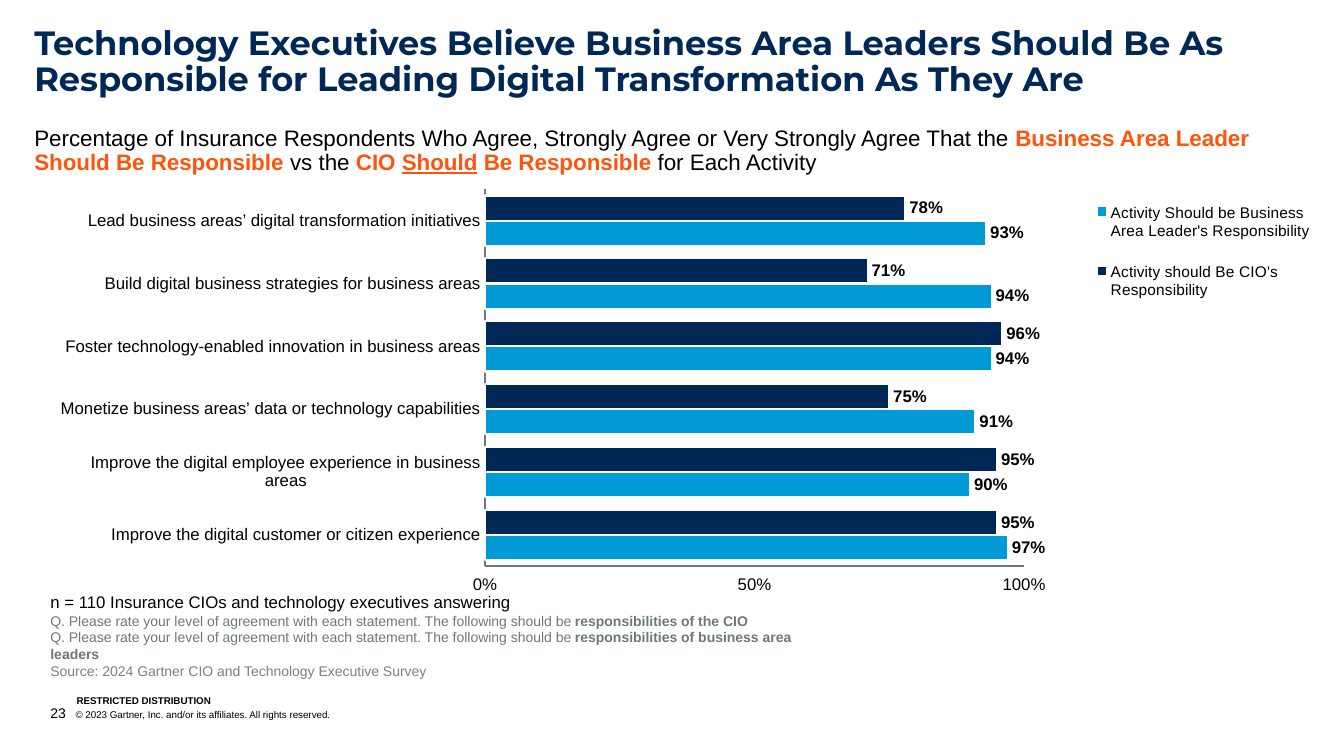
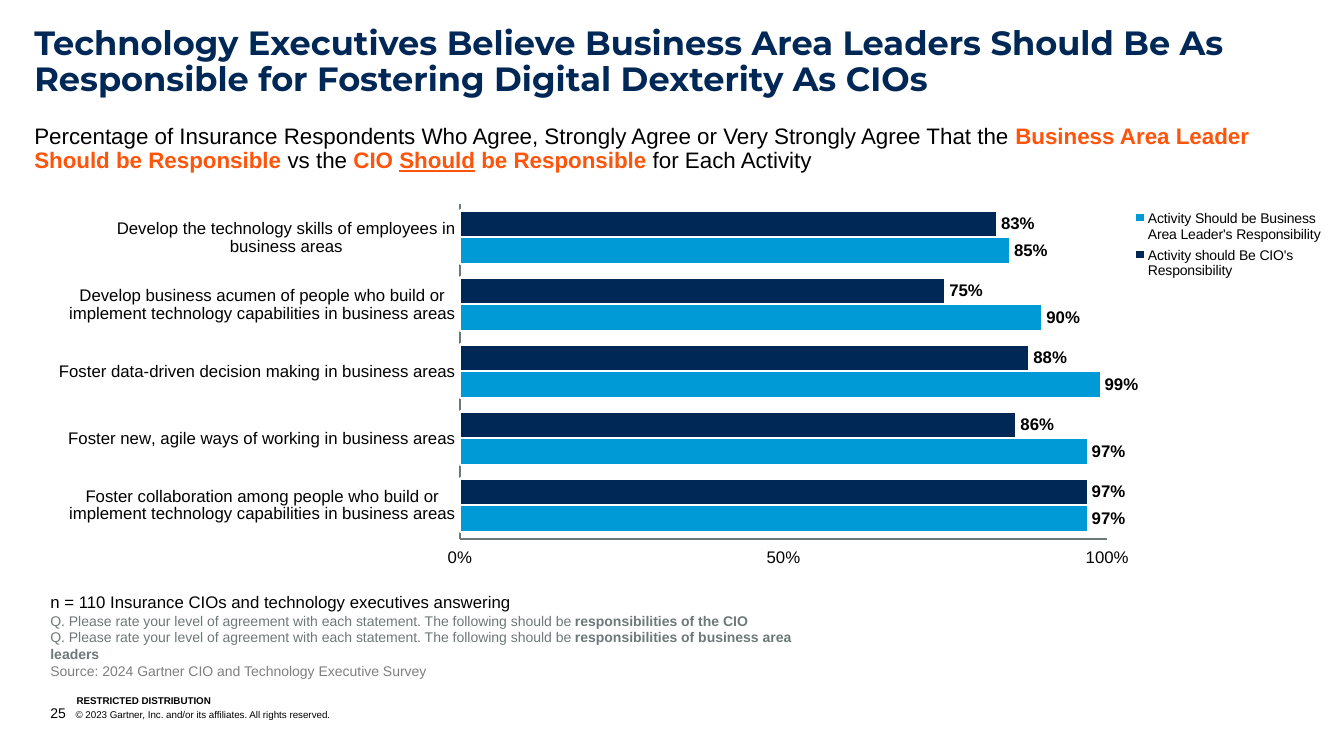
"""Build two survey slides that compare responsibilities in clustered bar charts."""
from dataclasses import dataclass
from typing import Any, NamedTuple

from lxml import etree
from pptx import Presentation
from pptx import util as u
from pptx.chart import data
from pptx.dml.color import RGBColor
from pptx.enum import chart as ec, text as et
from pptx.oxml import ns

PX = 9144
COLORS = {
    "ink": "000000",
    "navy": "002856",
    "blue": "009AD7",
    "orange": "FF540A",
    "slate": "6F7878",
    "gray": "7F7F7F",
    "white": "FFFFFF",
}
SANS = "Arial"
HEAD = "Montserrat"
LINE = 1.57
SERIES = (
    ("Activity should Be CIO's Responsibility", "navy"),
    ("Activity Should be Business Area Leader's Responsibility", "blue"),
)


class Box(NamedTuple):
    x: int
    y: int
    w: int
    h: int


class Part(NamedTuple):
    x: float
    y: float
    w: float
    h: float


class Run(NamedTuple):
    text: str
    size: float
    color: str = "ink"
    bold: bool = False
    line: bool = False


class Row(NamedTuple):
    label: str
    cio: float
    area: float


@dataclass(frozen=True)
class Page:
    number: int
    title: str
    verb: str
    sub: Box
    frame: Box
    plot: Part
    legend: Part
    key: int
    rows: tuple[Row, ...]


Line = tuple[Run, ...]

NOTES: tuple[Line, ...] = (
    (Run("n = 110 Insurance CIOs and technology executives answering", 12),),
    (
        Run("Q. Please rate your level of agreement with each statement. "
            "The following should be ", 10, "slate"),
        Run("responsibilities of the CIO", 10, "slate", True),
    ),
    (
        Run("Q. Please rate your level of agreement with each statement. "
            "The following should be ", 10, "slate"),
        Run("responsibilities of business area leaders", 10, "slate", True),
    ),
    (Run("Source: 2024 Gartner CIO and Technology Executive Survey", 10, "gray"),),
)

PAGES = (
    Page(
        23,
        "Technology Executives Believe Business Area Leaders Should Be As "
        "Responsible for Leading Digital Transformation As They Are",
        "Be",
        Box(34, 126, 1233, 27),
        Box(50, 179, 1264, 439),
        Part(0.341, 0.02, 0.423, 0.852),
        Part(0.815, 0, 0.18, 0.32),
        11,
        (
            Row("Lead business areas’ digital transformation initiatives", 0.78, 0.93),
            Row("Build digital business strategies for business areas", 0.71, 0.94),
            Row("Foster technology-enabled innovation in business areas", 0.96, 0.94),
            Row("Monetize business areas’ data or technology capabilities", 0.75, 0.91),
            Row("Improve the digital employee experience in business areas", 0.95, 0.9),
            Row("Improve the digital customer or citizen experience", 0.95, 0.97),
        ),
    ),
    Page(
        25,
        "Technology Executives Believe Business Area Leaders Should Be As "
        "Responsible for Fostering Digital Dexterity As CIOs",
        "be",
        Box(34, 124, 1233, 27),
        Box(50, 200, 1269, 390),
        Part(0.32, 0.006, 0.506, 0.852),
        Part(0.843, 0.01, 0.155, 0.2),
        10,
        (
            Row("Develop the technology skills of employees in business areas", 0.83, 0.85),
            Row("Develop business acumen of people who build or implement "
                "technology capabilities in business areas", 0.75, 0.9),
            Row("Foster data-driven decision making in business areas", 0.88, 0.99),
            Row("Foster new, agile ways of working in business areas", 0.86, 0.97),
            Row("Foster collaboration among people who build or implement "
                "technology capabilities in business areas", 0.97, 0.97),
        ),
    ),
)


def px(n: int) -> u.Emu:
    """Turn px into EMU."""
    return u.Emu(n * PX)


def rgb(name: str) -> RGBColor:
    """Look up a named color."""
    return RGBColor.from_string(COLORS[name])


def style(font: Any, size: float, color: str = "ink", bold: bool = False,
          face: str = SANS) -> None:
    """Set the face, size, color and weight of a font."""
    font.name, font.size, font.bold = face, u.Pt(size), bold
    font.color.rgb = rgb(color)


def put(slide: Any, box: Box, lines: tuple[Line, ...], *, face: str = SANS,
        low: bool = False, pad: tuple[int, int, int, int] = (0, 0, 0, 0),
        lead: float | None = None, hang: int = 0) -> None:
    """Add a text box of formatted runs."""
    frame = slide.shapes.add_textbox(*map(px, box)).text_frame
    frame.word_wrap = True
    frame.auto_size = (et.MSO_AUTO_SIZE.SHAPE_TO_FIT_TEXT if low
                       else et.MSO_AUTO_SIZE.NONE)
    frame.vertical_anchor = et.MSO_ANCHOR.BOTTOM if low else et.MSO_ANCHOR.TOP
    (frame.margin_left, frame.margin_top,
     frame.margin_right, frame.margin_bottom) = map(px, pad)
    for i, line in enumerate(lines):
        para = frame.add_paragraph() if i else frame.paragraphs[0]
        if lead:
            para.line_spacing = lead
        if hang:
            props = para._p.get_or_add_pPr()
            props.set("marL", str(px(hang)))
            props.set("indent", str(px(-hang)))
        for part in line:
            run = para.add_run()
            run.text = part.text
            style(run.font, part.size, part.color, part.bold, face)
            if part.line:
                run.font.underline = True


def place(parent: Any, part: Part, at: int, inner: bool = False) -> None:
    """Give a chart element a manual layout."""
    for old in parent.findall(ns.qn("c:layout")):
        parent.remove(old)
    layout = etree.Element(ns.qn("c:layout"))
    manual = etree.SubElement(layout, ns.qn("c:manualLayout"))
    items = [("layoutTarget", "inner")] if inner else []
    items += [("xMode", "edge"), ("yMode", "edge")]
    items += [(key, str(val)) for key, val in part._asdict().items()]
    for tag, val in items:
        etree.SubElement(manual, ns.qn(f"c:{tag}")).set("val", val)
    parent.insert(at, layout)


def cross(axis: Any, at: int) -> None:
    """Make an axis cross the other one at a value."""
    node = axis._element
    for tag in ("c:crosses", "c:crossesAt"):
        for old in node.findall(ns.qn(tag)):
            node.remove(old)
    mark = etree.Element(ns.qn("c:crossesAt"))
    mark.set("val", str(at))
    node.find(ns.qn("c:crossAx")).addnext(mark)


def plot(slide: Any, page: Page) -> None:
    """Add the bar chart of a page."""
    table = data.CategoryChartData(number_format="0%")
    table.categories = [row.label for row in page.rows]
    for i, (name, _) in enumerate(SERIES, 1):
        table.add_series(name, [row[i] for row in page.rows])
    chart = slide.shapes.add_chart(
        ec.XL_CHART_TYPE.BAR_CLUSTERED, *map(px, page.frame), table).chart
    style(chart.font, 12)
    chart.has_title = False

    cats, vals = chart.category_axis, chart.value_axis
    for axis in (cats, vals):
        axis.has_major_gridlines = False
        axis.major_tick_mark = axis.minor_tick_mark = ec.XL_TICK_MARK.NONE
        axis.format.line.color.rgb = rgb("slate")
        axis.format.line.width = u.Pt(LINE)
        style(axis.tick_labels.font, 12)
    cats.reverse_order = True
    vals.minimum_scale, vals.maximum_scale, vals.major_unit = 0, 1, 0.5
    vals.tick_label_position = ec.XL_TICK_LABEL_POSITION.HIGH
    vals.tick_labels.number_format = "0%"
    vals.tick_labels.number_format_is_linked = False
    cross(vals, len(page.rows) + 1)

    bars = chart.plots[0]
    bars.gap_width, bars.vary_by_categories = 50, False
    for series, (_, color) in zip(bars.series, SERIES):
        series.format.fill.solid()
        series.format.fill.fore_color.rgb = rgb(color)
        series.format.line.color.rgb = rgb("white")
        series.format.line.width = u.Pt(LINE)
        labels = series.data_labels
        labels.show_value = True
        labels.position = ec.XL_LABEL_POSITION.OUTSIDE_END
        labels.number_format = "0%"
        labels.number_format_is_linked = False
        style(labels.font, 12, bold=True)

    chart.has_legend = True
    legend = chart.legend
    legend.position = ec.XL_LEGEND_POSITION.CORNER
    legend.include_in_layout = False
    style(legend.font, page.key)
    place(legend._element, page.legend, 1)
    area = chart._chartSpace.find(".//" + ns.qn("c:plotArea"))
    place(area, page.plot, 0, inner=True)


def foot(slide: Any, number: int) -> None:
    """Add the footer that all slides share."""
    put(slide, Box(76, 689, 253, 12),
        ((Run("RESTRICTED DISTRIBUTION", 7, bold=True),),), low=True)
    rights = "\t© 2023 Gartner, Inc. and/or its affiliates. All rights reserved."
    put(slide, Box(50, 699, 799, 17),
        ((Run(str(number), 10), Run(rights, 7)),), low=True, hang=25)


def draw(deck: Any, page: Page) -> None:
    """Add one slide."""
    slide = deck.slides.add_slide(deck.slide_layouts[6])
    foot(slide, page.number)
    plot(slide, page)
    put(slide, Box(50, 593, 790, 91), NOTES, low=True, pad=(0, 10, 10, 10))
    put(slide, Box(34, 26, 1233, 77),
        ((Run(page.title, 24, "navy", True),),), face=HEAD, lead=0.9)
    put(slide, page.sub, ((
        Run("Percentage of Insurance Respondents Who Agree, Strongly Agree "
            "or Very Strongly Agree That the ", 16),
        Run(f"Business Area Leader Should {page.verb} Responsible ", 16, "orange", True),
        Run("vs the ", 16),
        Run("CIO ", 16, "orange", True),
        Run("Should", 16, "orange", True, True),
        Run(f" {page.verb} Responsible", 16, "orange", True),
        Run(" for Each Activity", 16),
    ),), lead=0.9)


def main() -> None:
    """Build and save the deck."""
    deck = Presentation()
    deck.slide_width, deck.slide_height = px(1333), px(750)
    for page in PAGES:
        draw(deck, page)
    deck.save("out.pptx")


if __name__ == "__main__":
    main()
